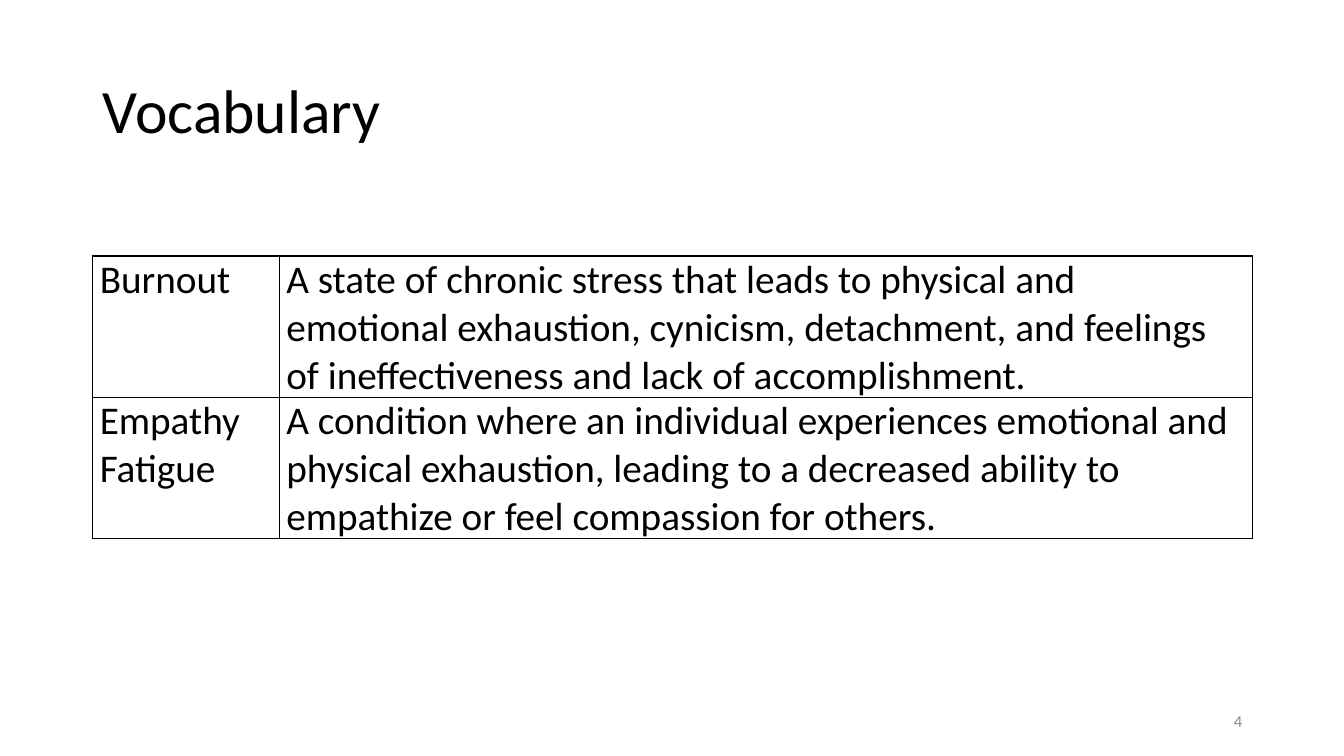
"""Build the vocabulary slide: a title, a table of terms and a page number."""
from lxml import etree
from pptx import Presentation
from pptx.dml.color import RGBColor
from pptx.enum.text import MSO_ANCHOR, PP_ALIGN
from pptx.oxml.ns import qn
from pptx.util import Inches, Pt

MIDDLE = MSO_ANCHOR.MIDDLE
LEFT, RIGHT = PP_ALIGN.LEFT, PP_ALIGN.RIGHT
FONT = "Calibri"
COLORS = {"text": "000000", "border": "000000", "page": "8C8C8C"}
COLUMN_WIDTHS = (1.85, 9.65)
ROW_HEIGHT = 1.4
VOCABULARY = [
    ("Burnout",
     "A state of chronic stress that leads to physical and emotional exhaustion, "
     "cynicism, detachment, and feelings of ineffectiveness and lack of accomplishment."),
    ("Empathy Fatigue",
     "A condition where an individual experiences emotional and physical exhaustion, "
     "leading to a decreased ability to empathize or feel compassion for others."),
]


def write(frame, text, size, color):
    frame.text = text
    font = frame.paragraphs[0].runs[0].font
    font.name, font.size = FONT, Pt(size)
    font.color.rgb = RGBColor.from_string(COLORS[color])


prs = Presentation()
prs.slide_width, prs.slide_height = Inches(13.33), Inches(7.5)
slide = prs.slides.add_slide(prs.slide_layouts[6])

for text, box, size, color, align, spacing in [
    ("Vocabulary", (0.92, 0.4, 11.5, 1.45), 44, "text", LEFT, 0.9),
    ("4", (9.42, 6.95, 3, 0.4), 12, "page", RIGHT, 1.0),
]:
    frame = slide.shapes.add_textbox(*map(Inches, box)).text_frame
    frame.word_wrap = True
    frame.vertical_anchor = MIDDLE
    write(frame, text, size, color)
    frame.paragraphs[0].alignment = align
    frame.paragraphs[0].line_spacing = spacing

vocabulary_table = slide.shapes.add_table(
    len(VOCABULARY), len(COLUMN_WIDTHS), Inches(0.92), Inches(2.54),
    Inches(sum(COLUMN_WIDTHS)), Inches(ROW_HEIGHT * len(VOCABULARY))).table
vocabulary_table.first_row = False
vocabulary_table.horz_banding = False
for column, width in zip(vocabulary_table.columns, COLUMN_WIDTHS):
    column.width = Inches(width)

for row, entry in enumerate(VOCABULARY):
    vocabulary_table.rows[row].height = Inches(ROW_HEIGHT)
    for col, text in enumerate(entry):
        cell = vocabulary_table.cell(row, col)
        cell.margin_left = cell.margin_right = Inches(0.07)
        cell.margin_top = cell.margin_bottom = 0
        write(cell.text_frame, text, 28, "text")
        properties = cell._tc.get_or_add_tcPr()
        for side in ("a:lnL", "a:lnR", "a:lnT", "a:lnB"):
            border = etree.SubElement(properties, qn(side), w=str(Pt(1)))
            fill = etree.SubElement(border, qn("a:solidFill"))
            etree.SubElement(fill, qn("a:srgbClr"), val=COLORS["border"])
        cell.fill.background()

prs.save("out.pptx")
